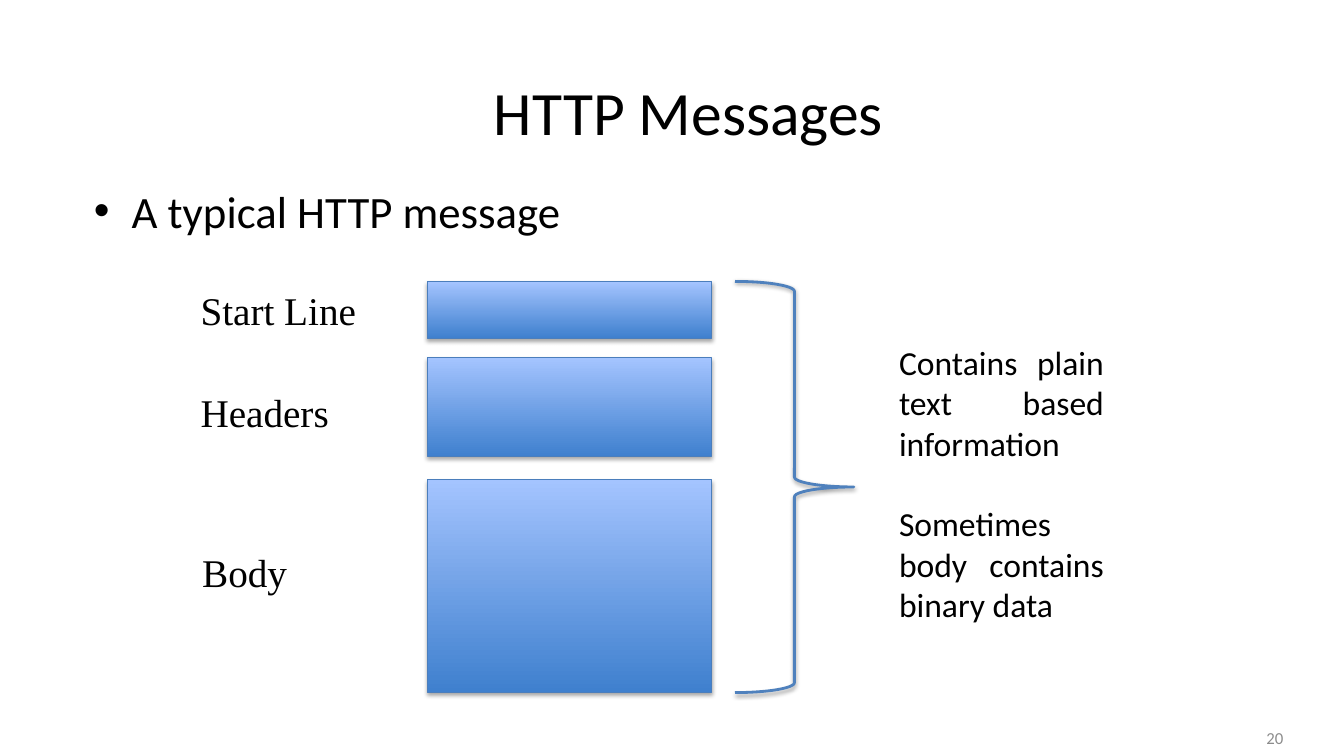
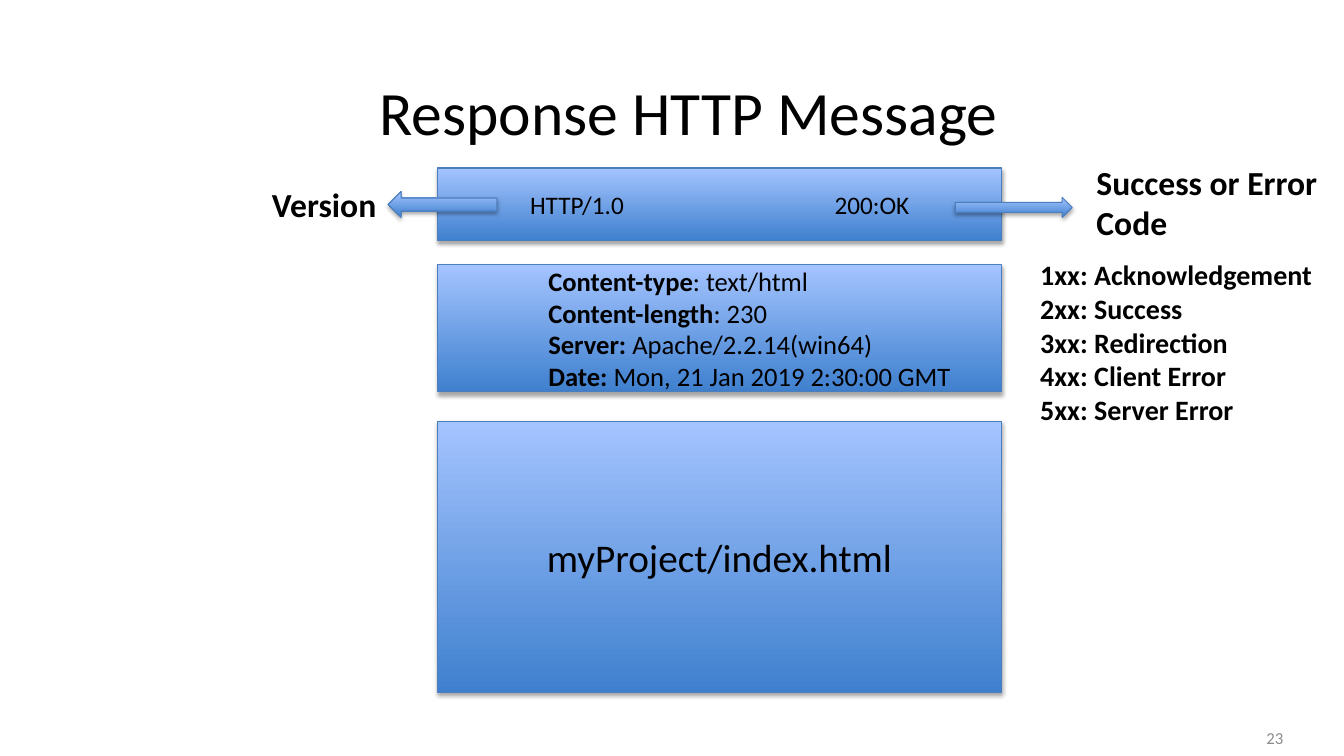
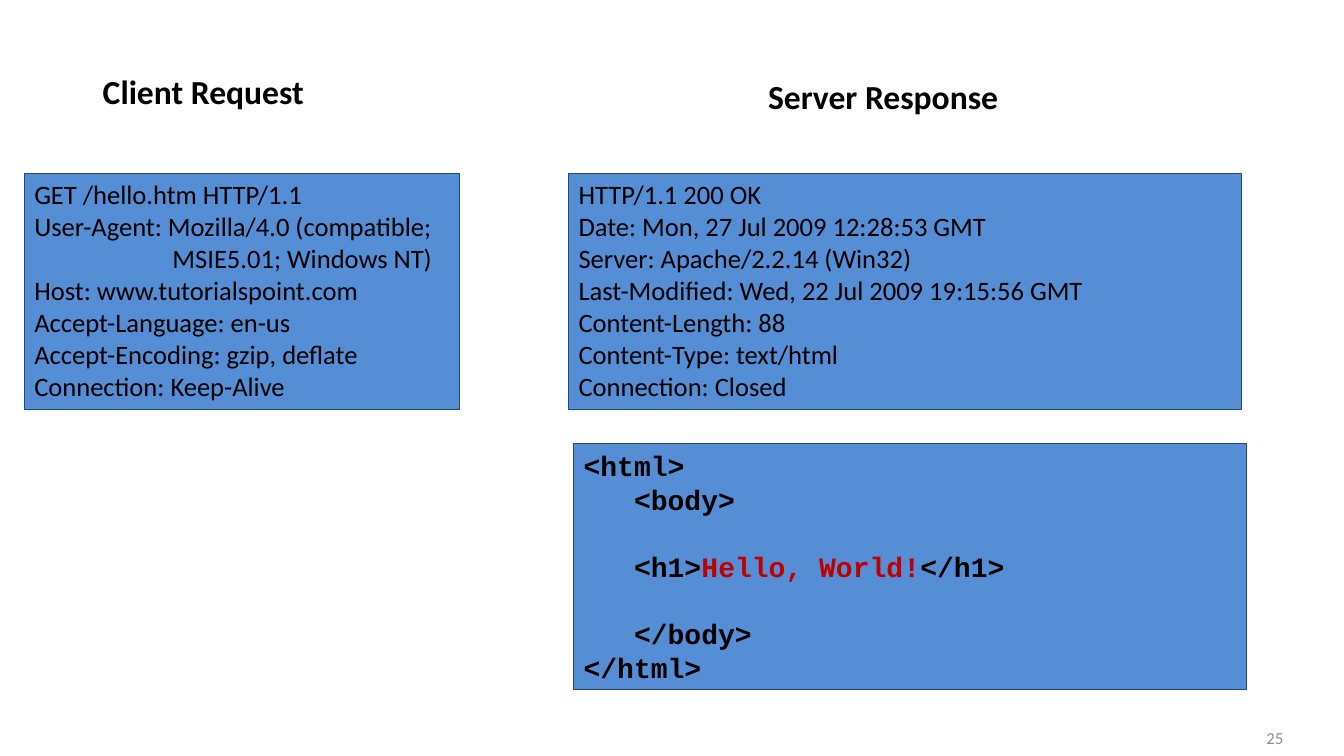
from dataclasses import dataclass, replace
from typing import NamedTuple, Optional, Sequence, Union

from lxml.etree import SubElement
from pptx import Presentation
from pptx.dml.color import RGBColor
from pptx.enum.shapes import MSO_SHAPE
from pptx.enum.text import MSO_ANCHOR, PP_ALIGN
from pptx.oxml.ns import qn
from pptx.util import Inches, Length, Pt

COLUMNS, ROWS = 32, 18
CELL = Inches(7.5) / ROWS

BLACK, GREY, RED = "000000", "8C8C8C", "C00000"
GRADIENT = ("3F80CE", "A4C4FF")
GLOSSY_EDGE, BRACE_BLUE = "4B7EBC", "4F81BD"
FLAT_BLUE, FLAT_EDGE = "558ED5", "1F497D"


class Area(NamedTuple):
    """Left, top, width and height in grid cells."""
    left: float
    top: float
    width: float
    height: float


class Span(NamedTuple):
    text: str
    bold: Optional[bool] = None
    color: Optional[str] = None


@dataclass(frozen=True)
class Para:
    """A paragraph; indents and tab stop in cells, space before in points."""
    spans: Sequence[Span]
    indent: float = 0
    before: float = 0
    bullet: bool = False
    tab: float = 0


@dataclass(frozen=True)
class Style:
    size: float
    font: str = "Calibri"
    bold: bool = False
    color: str = BLACK
    align: PP_ALIGN = PP_ALIGN.LEFT
    anchor: MSO_ANCHOR = MSO_ANCHOR.TOP
    line_pitch: float = 0
    wrap: bool = True
    left_inset: float = 0.24


class Label(NamedTuple):
    area: Area
    content: Sequence[Union[str, Para]]
    style: Style


TITLE = Style(44, align=PP_ALIGN.CENTER, anchor=MSO_ANCHOR.MIDDLE)
PAGE_NUMBER = Style(12, color=GREY, align=PP_ALIGN.RIGHT, anchor=MSO_ANCHOR.MIDDLE)
BULLET = Style(32)
PART_NAME = Style(28, font="Times New Roman")
NOTE = Style(24, align=PP_ALIGN.JUSTIFY)
HEADING = Style(24, bold=True)
STATUS_LIST = Style(20, bold=True, wrap=False)
STATUS_LINE = Style(18, anchor=MSO_ANCHOR.MIDDLE, left_inset=2.2)
HEADER_LINES = Style(19, anchor=MSO_ANCHOR.MIDDLE)
BODY_NAME = replace(TITLE, size=28)
MESSAGE = Style(19)
CODE = Style(20, font="Courier New", bold=True, line_pitch=24)


def cells(count: float) -> Length:
    return Length(round(count * CELL))


def rgb(value: str) -> RGBColor:
    return RGBColor.from_string(value)


def write(box, content: Sequence[Union[str, Para]], style: Style) -> None:
    frame = box.text_frame
    frame.word_wrap = style.wrap
    frame.vertical_anchor = style.anchor
    frame.margin_left = cells(style.left_inset)
    for index, item in enumerate(content):
        source = Para([Span(item)]) if isinstance(item, str) else item
        para = frame.paragraphs[0] if index == 0 else frame.add_paragraph()
        para.alignment = style.align
        if style.line_pitch:
            para.line_spacing = Pt(style.line_pitch)
        if source.before:
            para.space_before = Pt(source.before)
        properties = para._p.get_or_add_pPr()
        if source.indent:
            properties.set("marL", str(cells(source.indent)))
        if source.bullet:
            properties.set("indent", str(-cells(source.indent)))
            SubElement(properties, qn("a:buFont"), typeface="Arial")
            SubElement(properties, qn("a:buChar"), char="•")
        if source.tab:
            tabs = SubElement(properties, qn("a:tabLst"))
            SubElement(tabs, qn("a:tab"), pos=str(cells(source.tab)), algn="l")
        para.font.name = style.font
        para.font.size = Pt(style.size)
        para.font.bold = style.bold
        para.font.color.rgb = rgb(style.color)
        for span in source.spans:
            run = para.add_run()
            run.text = span.text
            if span.bold is not None:
                run.font.bold = span.bold
            if span.color:
                run.font.color.rgb = rgb(span.color)


def add_text(page, label: Label) -> None:
    box = page.shapes.add_textbox(*map(cells, label.area))
    write(box, label.content, label.style)


def add_outlined(page, kind: MSO_SHAPE, area: Area, edge: str, weight: float = 0.75):
    shape = page.shapes.add_shape(kind, *map(cells, area))
    shape.line.color.rgb = rgb(edge)
    shape.line.width = Pt(weight)
    shape.shadow.inherit = False
    return shape


def drop_shadow(shape, distance: float, opacity: int) -> None:
    effects = shape.element.spPr.find(qn("a:effectLst"))
    shadow = SubElement(effects, qn("a:outerShdw"), blurRad=str(Pt(3.1)),
                        dist=str(Pt(distance)), dir="5400000", rotWithShape="0")
    color = SubElement(shadow, qn("a:srgbClr"), val=BLACK)
    SubElement(color, qn("a:alpha"), val=str(opacity * 1000))


def add_glossy(page, area: Area, kind: MSO_SHAPE = MSO_SHAPE.RECTANGLE):
    shape = add_outlined(page, kind, area, GLOSSY_EDGE)
    shape.fill.gradient()
    shape.fill.gradient_angle = 90
    for stop, color in zip(shape.fill.gradient_stops, GRADIENT):
        stop.color.rgb = rgb(color)
    drop_shadow(shape, 1.8, 35)
    return shape


def add_flat(page, panel: Label) -> None:
    shape = add_outlined(page, MSO_SHAPE.RECTANGLE, panel.area, FLAT_EDGE)
    shape.fill.solid()
    shape.fill.fore_color.rgb = rgb(FLAT_BLUE)
    write(shape, panel.content, panel.style)


def add_page(deck, number: int, title: str = ""):
    page = deck.slides.add_slide(deck.slide_layouts[6])
    add_text(page, Label(Area(23.33, 17.09, 7.46, 0.96), [str(number)], PAGE_NUMBER))
    if title:
        add_text(page, Label(Area(2, 1.13, 28.8, 3), [title], TITLE))
    return page


def message_parts(deck) -> None:
    page = add_page(deck, 20, "HTTP Messages")
    for top, height in ((6.7, 1.35), (8.52, 2.35), (11.42, 5.06)):
        add_glossy(page, Area(10.18, top, 6.77, height))
    brace = add_outlined(page, MSO_SHAPE.RIGHT_BRACE, Area(17.5, 6.7, 2.83, 9.79), BRACE_BLUE, 2)
    brace.fill.background()
    drop_shadow(brace, 1.6, 38)
    bullet = Para([Span("A typical HTTP message")], indent=0.9, bullet=True)
    note = ["Contains plain text based information",
            Para([Span("Sometimes body contains binary data")], before=29)]
    for label in (
        Label(Area(2, 4.25, 28.8, 11.88), [bullet], BULLET),
        Label(Area(4.54, 6.7, 5.35, 1.37), ["Start Line"], PART_NAME),
        Label(Area(4.54, 9.12, 5.35, 1.37), ["Headers"], PART_NAME),
        Label(Area(4.58, 12.94, 5.35, 1.37), ["Body"], PART_NAME),
        Label(Area(21.17, 8.02, 5.35, 7.03), note, NOTE),
    ):
        add_text(page, label)


def response_message(deck) -> None:
    page = add_page(deck, 23, "Response HTTP Message")
    headers = (
        ("Content-type", ": text/html"),
        ("Content-length", ": 230"),
        ("Server: ", "Apache/2.2.14(win64)"),
        ("Date: ", "Mon, 21 Jan 2019 2:30:00 GMT"),
    )
    header_lines = [Para([Span(name, bold=True), Span(value)], indent=2.4)
                    for name, value in headers]
    status_line = Para([Span("HTTP/1.0\t200:OK")], tab=7.25)
    for top, height, content, style in (
        (4, 1.73, [status_line], STATUS_LINE),
        (6.31, 3.02, header_lines, HEADER_LINES),
        (10.03, 6.46, ["myProject/index.html"], BODY_NAME),
    ):
        write(add_glossy(page, Area(10.42, top, 13.42, height)), content, style)
    add_glossy(page, Area(9.24, 4.56, 2.59, 0.62), MSO_SHAPE.LEFT_ARROW)
    add_glossy(page, Area(22.75, 4.7, 2.78, 0.48), MSO_SHAPE.RIGHT_ARROW)
    meanings = ("Acknowledgement", "Success", "Redirection", "Client Error", "Server Error")
    codes = [f"{digit}xx: {meaning}" for digit, meaning in enumerate(meanings, start=1)]
    for label in (
        Label(Area(6.24, 4.27, 3.79, 1.2), ["Version"], HEADING),
        Label(Area(25.87, 3.74, 6.12, 2.18), ["Success or Error Code"], HEADING),
        Label(Area(24.53, 6.02, 7.01, 4.27), codes, STATUS_LIST),
    ):
        add_text(page, label)


def request_and_response(deck) -> None:
    page = add_page(deck, 25)
    request = [
        "GET /hello.htm HTTP/1.1",
        "User-Agent: Mozilla/4.0 (compatible;",
        Para([Span("MSIE5.01; Windows NT)")], indent=3.29),
        "Host: www.tutorialspoint.com",
        "Accept-Language: en-us",
        "Accept-Encoding: gzip, deflate",
        "Connection: Keep-Alive",
    ]
    response = [
        "HTTP/1.1 200 OK",
        "Date: Mon, 27 Jul 2009 12:28:53 GMT",
        "Server: Apache/2.2.14 (Win32)",
        "Last-Modified: Wed, 22 Jul 2009 19:15:56 GMT",
        "Content-Length: 88",
        "Content-Type: text/html",
        "Connection: Closed",
    ]
    greeting = [Span("   <h1>"), Span("Hello, World!", color=RED), Span("</h1>")]
    html = [
        "<html>",
        "   <body>",
        Para(greeting, before=CODE.line_pitch),
        Para([Span("   </body>")], before=CODE.line_pitch),
        "</html>",
    ]
    for panel in (
        Label(Area(0.58, 4.13, 10.37, 5.62), request, MESSAGE),
        Label(Area(13.54, 4.13, 16.01, 5.62), response, MESSAGE),
        Label(Area(13.66, 10.56, 16.01, 5.86), html, CODE),
    ):
        add_flat(page, panel)
    add_text(page, Label(Area(2.21, 1.58, 5.88, 1.2), ["Client Request"], HEADING))
    add_text(page, Label(Area(18.05, 1.68, 7.18, 1.2), ["Server Response"], HEADING))


def main() -> None:
    deck = Presentation()
    deck.slide_width, deck.slide_height = cells(COLUMNS), cells(ROWS)
    message_parts(deck)
    response_message(deck)
    request_and_response(deck)
    deck.save("out.pptx")


if __name__ == "__main__":
    main()
